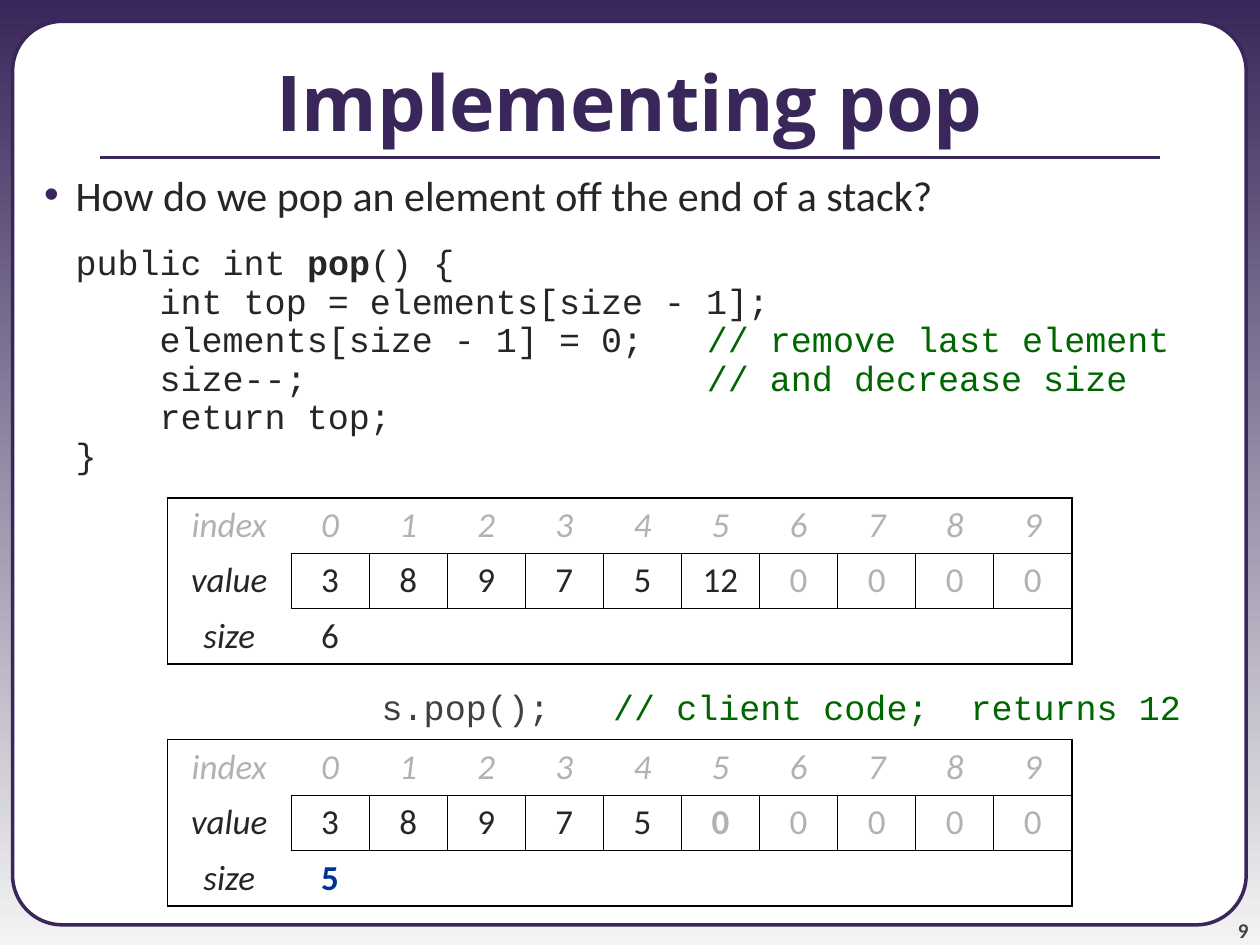
from lxml import etree
from pptx import Presentation
from pptx.dml.color import RGBColor
from pptx.enum.shapes import MSO_CONNECTOR, MSO_SHAPE
from pptx.enum.text import MSO_ANCHOR, PP_ALIGN
from pptx.oxml.ns import qn
from pptx.util import Inches, Pt

COLORS = {"purple": "39275B", "pale": "F3F3F3", "white": "FFFFFF", "ink": "262626",
          "dark": "404040", "number": "424242", "gray": "B2B2B2",
          "green": "006600", "blue": "003399", "black": "000000"}


def add_run(paragraph, text, size, color, font="Calibri", bold=False, italic=False):
    run = paragraph.add_run()
    run.text = text
    run.font.size, run.font.name = Pt(size), font
    run.font.bold, run.font.italic = bold, italic
    run.font.color.rgb = RGBColor.from_string(COLORS[color])


def add_text_frame(left, top, width, height, anchor=MSO_ANCHOR.TOP):
    frame = slide.shapes.add_textbox(
        Inches(left), Inches(top), Inches(width), Inches(height)).text_frame
    frame.word_wrap = True
    frame.vertical_anchor = anchor
    frame.margin_left = frame.margin_right = 0
    frame.margin_top = frame.margin_bottom = 0
    return frame


prs = Presentation()
prs.slide_width, prs.slide_height = Inches(10), Inches(7.5)
slide = prs.slides.add_slide(prs.slide_layouts[6])

# Background gradient, dark at the top
backdrop = slide.background.fill
backdrop.gradient()
backdrop.gradient_angle = 270
for stop, color in zip(backdrop.gradient_stops, ("purple", "pale")):
    stop.color.rgb = RGBColor.from_string(COLORS[color])

# White rounded panel
panel = slide.shapes.add_shape(MSO_SHAPE.ROUNDED_RECTANGLE, Inches(0.1), Inches(0.17),
                               Inches(9.79), Inches(7.17))
panel.adjustments[0] = 0.055
panel.shadow.inherit = False
panel.fill.solid()
panel.fill.fore_color.rgb = RGBColor.from_string(COLORS["white"])
panel.line.color.rgb = RGBColor.from_string(COLORS["purple"])
panel.line.width = Pt(2)

# Slide number
page_number = add_text_frame(9.08, 7.08, 0.83, 0.4, MSO_ANCHOR.BOTTOM).paragraphs[0]
page_number.alignment = PP_ALIGN.RIGHT
add_run(page_number, "9", 12, "number", bold=True)

# Title and its rule
rule = slide.shapes.add_connector(MSO_CONNECTOR.STRAIGHT, Inches(0.79), Inches(1.25),
                                  Inches(9.21), Inches(1.25))
rule.line.color.rgb = RGBColor.from_string(COLORS["purple"])
rule.line.width = Pt(2.25)
etree.SubElement(rule._element.spPr, qn("a:effectLst"))

title = add_text_frame(0, 0.17, 10, 1.25, MSO_ANCHOR.MIDDLE).paragraphs[0]
title.alignment = PP_ALIGN.CENTER
add_run(title, "Implementing pop", 44, "purple", "Open Sans", bold=True)

# Question with bullet
question = add_text_frame(0.1, 1.42, 9.8, 0.45).paragraphs[0]
question_format = question._p.get_or_add_pPr()
question_format.set("marL", str(Inches(0.5)))
question_format.set("indent", str(Inches(-0.25)))
bullet_color = etree.SubElement(question_format, qn("a:buClr"))
etree.SubElement(bullet_color, qn("a:srgbClr"), val=COLORS["purple"])
etree.SubElement(question_format, qn("a:buFont"), typeface="Arial")
etree.SubElement(question_format, qn("a:buChar"), char="•")
question.line_spacing = 0.8
add_run(question, "How do we pop an element off the end of a stack?", 24, "ink")

# Method body and client call: runs of (text, color, bold)
METHOD = [
    [("public int ", "ink", False), ("pop", "ink", True), ("() {", "ink", False)],
    [("    int top = elements[size - 1];", "ink", False)],
    [("    elements[size - 1] = 0;   ", "ink", False),
     ("// remove last element", "green", False)],
    [("    size--;                   ", "ink", False),
     ("// and decrease size", "green", False)],
    [("    return top;", "ink", False)],
    [("}", "ink", False)],
]
CLIENT_CALL = [[("s.pop();   ", "dark", False),
                ("// client code;  returns 12", "green", False)]]
for left, top, width, lines in ((0.6, 1.94, 9.2, METHOD), (3.03, 5.47, 6.8, CLIENT_CALL)):
    code = add_text_frame(left, top, width, 0.31 * len(lines))
    for number, line in enumerate(lines):
        paragraph = code.add_paragraph() if number else code.paragraphs[0]
        paragraph.line_spacing = Pt(22)
        for text, color, bold in line:
            add_run(paragraph, text, 20, color, "Courier New", bold)

# Stack before and after the call: top, values, size
STACKS = [(3.95, [3, 8, 9, 7, 5, 12, 0, 0, 0, 0], 6),
          (5.87, [3, 8, 9, 7, 5, 0, 0, 0, 0, 0], 5)]
CAPACITY, OUTER, INNER = 10, 1.08, 0.45
for top, values, size in STACKS:
    popped = size == 5
    stack = slide.shapes.add_table(3, CAPACITY + 1, Inches(1.33), Inches(top),
                                   Inches(7.18), Inches(1.32)).table
    stack.first_row = stack.horz_banding = False
    for c, column in enumerate(stack.columns):
        column.width = Inches(0.62 if c else 0.98)
    for row in stack.rows:
        row.height = Inches(0.44)

    rows = [["index", *range(CAPACITY)], ["value", *values], ["size", size]]
    for r, row in enumerate(rows):
        for c in range(CAPACITY + 1):
            cell = stack.cell(r, c)
            cell.fill.background()

            # Heavy frame outside, thin frame around each value
            def_edges = {"a:lnL": (c == 0, r == 1 and c > 0),
                         "a:lnR": (c == CAPACITY, r == 1),
                         "a:lnT": (r == 0, r > 0 and c > 0 and r < 3),
                         "a:lnB": (r == 2, r < 2 and c > 0)}
            cell_format = cell._tc.get_or_add_tcPr()
            for position, (tag, (outer, inner)) in enumerate(def_edges.items()):
                weight = OUTER if outer else INNER
                edge = etree.Element(qn(tag), w=str(Pt(weight)))
                cell_format.insert(position, edge)
                if outer or inner:
                    paint = etree.SubElement(edge, qn("a:solidFill"))
                    etree.SubElement(paint, qn("a:srgbClr"), val=COLORS["black"])
                else:
                    etree.SubElement(edge, qn("a:noFill"))

            if c < len(row):
                unused = r == 1 and c > size
                changed = popped and (r, c) in ((1, size + 1), (2, 1))
                color = "gray" if r == 0 or unused else "blue" if changed else "ink"
                entry = cell.text_frame.paragraphs[0]
                entry.alignment = PP_ALIGN.CENTER
                add_run(entry, str(row[c]), 20, color, bold=changed,
                        italic=r == 0 or c == 0)

prs.save("out.pptx")
